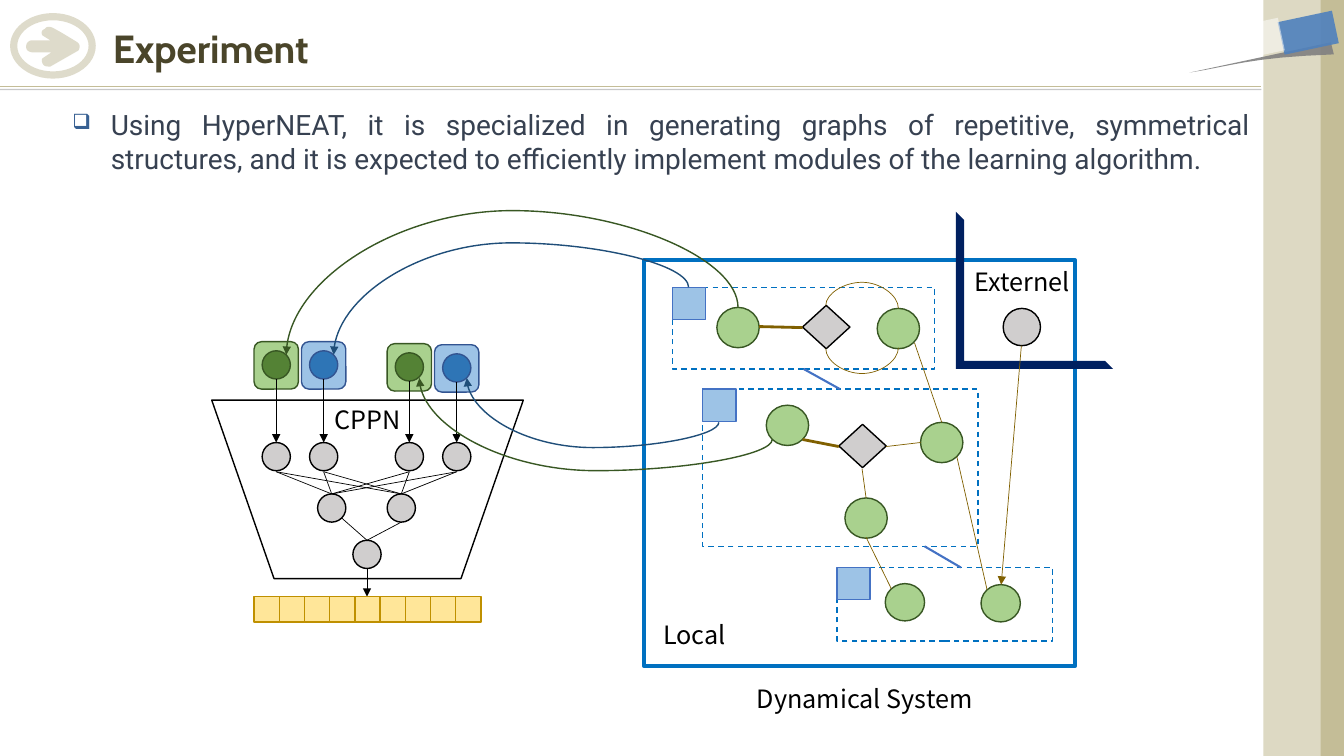
from itertools import product

from lxml import etree
from pptx import Presentation
from pptx.dml.color import RGBColor
from pptx.enum import shapes, text
from pptx.oxml import ns
from pptx.util import Pt

PX = 9144
KIND = shapes.MSO_SHAPE
LINK = shapes.MSO_CONNECTOR
COLORS = {
    "black": "000000", "white": "FFFFFF", "title": "4A452A", "body": "374151", "bullet": "376092",
    "tan": "C4BD97", "sand": "DDD9C3", "olive": "948A54", "gray": "808080", "ribbon": "4F81BD",
    "node": "D0CECE", "leaf": "A9D18E", "moss": "548235", "forest": "385723",
    "sky": "9DC3E6", "blue": "2E75B6", "indigo": "325491", "royal": "4472C4", "deep": "1F4E79",
    "frame": "0070C0", "navy": "002060", "cell": "FFE699", "gold": "BF9000", "brown": "806000",
}


def px(value):
    """Turn px into EMU."""
    return round(value * PX)


def rgb(name):
    """Look up a named colour."""
    return RGBColor.from_string(COLORS[name])


def assign(target, values):
    """Set each attribute in values on target."""
    for key, value in values.items():
        setattr(target, key, value)


def child(parent, tag, **attrs):
    """Append a DrawingML element with attributes."""
    element = etree.SubElement(parent, ns.qn(tag))
    for key, value in attrs.items():
        element.set(key, str(value))
    return element


def paint(shape, fill=None, line=None, width=1, dash=False, alpha=100):
    """Give a shape its fill and outline without a shadow."""
    shape.shadow.inherit = False
    if fill:
        shape.fill.solid()
        shape.fill.fore_color.rgb = rgb(fill)
        if alpha < 100:
            color = shape._element.spPr.find(".//" + ns.qn("a:srgbClr"))
            child(color, "a:alpha", val=alpha * 1000)
    else:
        shape.fill.background()
    if line:
        shape.line.color.rgb = rgb(line)
        shape.line.width = Pt(width)
        if dash:
            child(shape.line._get_or_add_ln(), "a:prstDash", val="dash")
    else:
        shape.line.fill.background()


def block(slide, kind, box, fill=None, line=None, rotation=0, adjust=(), **look):
    """Add a preset shape."""
    shape = slide.shapes.add_shape(kind, *map(px, box))
    shape.rotation = rotation
    for index, value in enumerate(adjust):
        shape.adjustments[index] = value
    paint(shape, fill, line, **look)
    return shape


def outline(slide, start, segments, fill, alpha):
    """Add a closed outline of straight and Bézier segments."""
    points, last = [], start
    for segment in segments:
        if len(segment) == 1:
            points.append(segment[0])
        else:
            hull = (last, *segment)
            for t in (step / 8 for step in range(1, 9)):
                weights = ((1 - t) ** 3, 3 * t * (1 - t) ** 2, 3 * t * t * (1 - t), t ** 3)
                points.append(tuple(sum(w * p[axis] for w, p in zip(weights, hull)) for axis in (0, 1)))
        last = segment[-1]
    builder = slide.shapes.build_freeform(*map(px, start))
    builder.add_line_segments([tuple(map(px, point)) for point in points], close=True)
    paint(builder.convert_to_shape(), fill, alpha=alpha)


def stroke(link, color, width, arrow):
    """Style a connector and return its effect list."""
    link.line.color.rgb = rgb(color)
    link.line.width = Pt(width)
    if arrow:
        child(link.line._get_or_add_ln(), "a:tailEnd", type="triangle")
    return child(link._element.spPr, "a:effectLst")


def straight(slide, start, end, color="black", width=0.5, arrow=False):
    """Add a straight connector."""
    link = slide.shapes.add_connector(LINK.STRAIGHT, *map(px, (*start, *end)))
    return stroke(link, color, width, arrow)


def arc(slide, start, end, bend, color, width=1, arrow=True):
    """Add a U-shaped curved connector that turns at height bend."""
    (x1, y1), (x2, y2) = start, end
    across, rise = abs(x2 - x1), abs(y2 - y1)
    left, top = (x1 + x2 - rise) / 2, (y1 + y2 - across) / 2
    link = slide.shapes.add_connector(LINK.CURVE, *map(px, (left, top, left + rise, top + across)))
    upward = bend < y1
    frame = link._element.spPr.find(ns.qn("a:xfrm"))
    turn = {"rot": 270 if upward else 90, "flipH": 1, "flipV": int(upward == (x2 < x1))}
    turn["rot"] *= 60000
    for key, value in turn.items():
        frame.set(key, str(value))
    guides = link._element.spPr.find(".//" + ns.qn("a:avLst"))
    child(guides, "a:gd", name="adj1", fmla=f"val {round((bend - y1) / (y2 - y1) * 100000)}")
    stroke(link, color, width, arrow)


def label(slide, box, words, font="Noto Sans CJK KR", size=18, color="black", bold=False,
          anchor=text.MSO_ANCHOR.TOP, align=text.PP_ALIGN.LEFT, bullet=None):
    """Add a one-paragraph text box."""
    frame = slide.shapes.add_textbox(*map(px, box)).text_frame
    assign(frame, {"word_wrap": True, "vertical_anchor": anchor})
    line = frame.paragraphs[0]
    line.alignment = align
    if bullet:
        props = line._p.get_or_add_pPr()
        props.set("marL", str(px(38)))
        props.set("indent", str(px(-38)))
        child(child(props, "a:buClr"), "a:srgbClr", val=COLORS["bullet"])
        child(props, "a:buSzPct", val=75000)
        child(props, "a:buChar", char=bullet)
    run = line.add_run()
    run.text = words
    assign(run.font, {"name": font, "size": Pt(size), "bold": bold})
    run.font.color.rgb = rgb(color)


def draw_theme(slide):
    """Draw the header rule, arrow badge, side bands and ribbon."""
    effects = straight(slide, (0, 86), (1251, 86), "tan", 0.75)
    shadow = child(effects, "a:outerShdw", blurRad=0, dist=Pt(2), dir=5400000, rotWithShape=0)
    child(child(shadow, "a:srgbClr", val=COLORS["black"]), "a:alpha", val=22000)
    outline(slide, (77, 42), [
        ((72, 39), (56, 29), (51, 27)), ((47, 26), (46, 27), (44, 29)), ((41, 30), (41, 33), (42, 35)),
        ((50, 40),), ((31, 40),), ((27, 41), (26, 44), (26, 46)), ((26, 49), (27, 51), (32, 52)),
        ((51, 52),), ((42, 58),), ((41, 60), (42, 63), (43, 64)), ((44, 66), (47, 66), (50, 66)),
        ((64, 58), (78, 50), (78, 50)), ((79, 48), (79, 47), (79, 46)), ((79, 45), (79, 44), (77, 42)),
    ], "olive", 30)
    block(slide, KIND.DONUT, (10, 13, 85, 65), "olive", adjust=(0.11,), alpha=30)
    block(slide, KIND.RECTANGLE, (1255, 0, 78, 750), "tan")
    block(slide, KIND.RECTANGLE, (1253, 0, 57, 750), "sand")
    outline(slide, (1320, 42), [((1323, 54),), ((1238, 57), (1220, 66), (1180, 72)),
                                ((1227, 62), (1273, 52), (1320, 42))], "gray", 90)
    block(slide, KIND.RECTANGLE, (1281, 5, 33, 55), "ribbon", rotation=78, alpha=90)
    block(slide, KIND.RECTANGLE, (1204, -7, 33, 103), "white", rotation=78, alpha=50)


def draw_cppn(slide):
    """Draw the network with its inputs and output cells."""
    inputs = ((274, 339), (321, 339), (406, 341), (453, 342))
    hues = (("leaf", "moss", "forest"), ("sky", "blue", "indigo")) * 2
    for (x, y), (pale, strong, edge) in zip(inputs, hues):
        block(slide, KIND.ROUNDED_RECTANGLE, (x - 22, y, 44, 47), pale, edge)
        block(slide, KIND.OVAL, (x - 14, y + 9, 28, 28), strong, edge)
    block(slide, KIND.FLOWCHART_MANUAL_OPERATION, (210, 397, 309, 177), line="black")
    hidden, output = (329, 398), 364
    nodes = [(x, 439) for x, _ in inputs] + [(x, 490) for x in hidden] + [(output, 536)]
    for x, y in nodes:
        block(slide, KIND.OVAL, (x - 14, y, 28, 28), "node", "black")
    label(slide, (322, 396, 98, 40), "CPPN")
    for x, y in inputs:
        straight(slide, (x, y + 37), (x, 439), arrow=True)
    for (x, _), target in product(inputs, hidden):
        straight(slide, (x, 468), (target, 490))
    for start in ((339, 514), (398, 518)):
        straight(slide, start, (output, 536))
    straight(slide, (output, 564), (output, 592), arrow=True)
    for column in range(9):
        block(slide, KIND.RECTANGLE, (252 + 25 * column, 592, 25, 25), "cell", "gold")


def draw_system(slide):
    """Draw the dynamical system with its modules."""
    block(slide, KIND.RECTANGLE, (639, 258, 427, 403), line="frame", width=3)
    label(slide, (741, 673, 237, 40), "Dynamical System")
    for x, y, width, height in ((667, 285, 260, 81), (697, 386, 273, 156), (830, 563, 214, 73)):
        block(slide, KIND.RECTANGLE, (x, y, width, height), line="frame", dash=True)
        block(slide, KIND.RECTANGLE, (x, y, 33, 32), "sky", "royal")
    block(slide, KIND.HALF_FRAME, (948, 210, 156, 156), "navy", rotation=270, adjust=(0.053, 0.051))
    for x, y in ((832, 421), (796, 303)):
        block(slide, KIND.DIAMOND, (x, y, 47, 43), "node", "black")
    for x, y in ((711, 305), (760, 402), (870, 306), (913, 419), (838, 494)):
        block(slide, KIND.OVAL, (x, y, 42, 40), "leaf", "forest")
    for x, y in ((878, 579), (973, 580)):
        block(slide, KIND.OVAL, (x, y, 39, 37), "leaf", "forest")
    block(slide, KIND.OVAL, (995, 306, 37, 37), "node", "black")
    for start, end in (((797, 366), (833, 386)), ((917, 542), (953, 563))):
        straight(slide, start, end, "royal", 1.5)
    for start, end in (((753, 324), (796, 325)), ((796, 436), (832, 443))):
        straight(slide, start, end, "brown", 2)
    for start, end in (((907, 340), (934, 419)), ((879, 443), (913, 439)), ((855, 465), (859, 494)),
                       ((884, 584), (859, 533)), ((949, 453), (979, 585))):
        straight(slide, start, end, "brown")
    straight(slide, (1013, 343), (993, 580), "brown", arrow=True)
    for start, end, bend in (((819, 303), (891, 306), 280), ((819, 346), (891, 345), 371)):
        arc(slide, start, end, bend, "brown", 0.5, False)
    label(slide, (957, 259, 116, 40), "Externel")
    label(slide, (648, 609, 116, 40), "Local")


def main():
    """Build and save the slide."""
    deck = Presentation()
    assign(deck, {"slide_width": px(1333), "slide_height": px(750)})
    slide = deck.slides.add_slide(deck.slide_layouts[6])
    draw_theme(slide)
    label(slide, (102, 17, 1165, 61), "Experiment", "Cabin", 28, "title", True, text.MSO_ANCHOR.MIDDLE)
    draw_cppn(slide)
    draw_system(slide)
    for start, end, bend, color in (((732, 305), (284, 352), 209, "forest"), ((683, 285), (331, 352), 241, "deep"),
                                    ((713, 419), (463, 375), 444, "deep"), ((766, 436), (416, 375), 467, "forest")):
        arc(slide, start, end, bend, color)
    label(slide, (62, 102, 1188, 633),
          "Using HyperNEAT, it is specialized in generating graphs of repetitive, symmetrical structures, "
          "and it is expected to efficiently implement modules of the learning algorithm.",
          "Roboto", 20, "body", align=text.PP_ALIGN.JUSTIFY, bullet="❑")
    deck.save("out.pptx")


if __name__ == "__main__":
    main()
